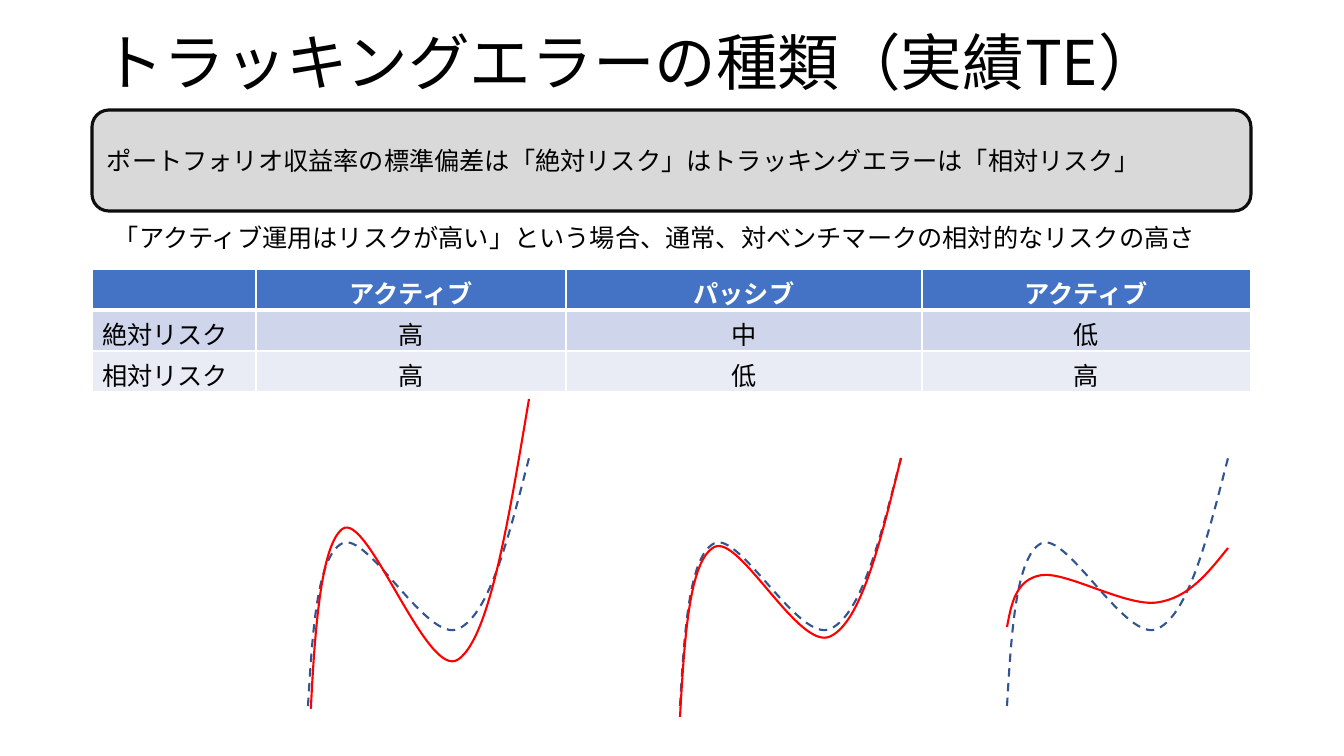
from lxml import etree
from pptx import Presentation
from pptx import util as u
from pptx.dml.color import RGBColor
from pptx.enum import dml, shapes, text
from pptx.oxml.ns import qn

FONT = "Noto Sans CJK JP"
BLACK, WHITE, RED, NAVY = "000000", "FFFFFF", "FF0000", "325491"
SCALE = 914400 / 100.8

TITLE = "トラッキングエラーの種類（実績TE）"
DEFINITION = "ポートフォリオ収益率の標準偏差は「絶対リスク」はトラッキングエラーは「相対リスク」"
REMARK = "「アクティブ運用はリスクが高い」という場合、通常、対ベンチマークの相対的なリスクの高さ"
RISKS = [
    ("", "アクティブ", "パッシブ", "アクティブ"),
    ("絶対リスク", "高", "中", "低"),
    ("相対リスク", "高", "低", "高"),
]
ROW_FILLS = ["4472C4", "CFD5EA", "E9EBF5"]
COLUMN_WIDTHS = [164, 310, 356, 329]
ROW_HEIGHT = 41
LEFT, WIDTH = 92, 1159

WAVE_WIDTH = 221
WAVE_UNITS = 1000
WAVE = [(0, 1000), (20, 699), (41, 396), (155, 344), (269, 293),
        (539, 747), (680, 689), (822, 632), (909, 316), (1000, 0)]
BENCHMARK = (458, 248)
PORTFOLIOS = [(308, 399, 378), (680, 458, 259), (1007, 548, 79)]
WAVE_END_COVER = (258, 709, 101, 75)


def px(value):
    return u.Emu(round(value * SCALE))


def box(*lengths):
    return [px(length) for length in lengths]


def color(value):
    return RGBColor.from_string(value)


def write(frame, wording, size, ink=BLACK, bold=False, align=text.PP_ALIGN.LEFT):
    frame.text = wording
    paragraph = frame.paragraphs[0]
    paragraph.alignment = align
    for run in paragraph.runs:
        run.font.size = u.Pt(size)
        run.font.bold = bold
        run.font.color.rgb = color(ink)
        run.font.name = FONT
        etree.SubElement(run.font._element, qn("a:ea"), typeface=FONT)
    return paragraph


def add_panel(preset, area, fill):
    panel = slide.shapes.add_shape(preset, *box(*area))
    panel.shadow.inherit = False
    panel.fill.solid()
    panel.fill.fore_color.rgb = color(fill)
    panel.line.fill.background()
    return panel


def draw_wave(left, top, height, ink, dash=None):
    points = [box(left + x * WAVE_WIDTH / WAVE_UNITS, top + y * height / WAVE_UNITS)
              for x, y in WAVE]
    builder = slide.shapes.build_freeform(*points[0], scale=1.0)
    builder.add_line_segments(points[1:], close=False)
    wave = builder.convert_to_shape()
    segments = list(wave._element.iter(qn("a:lnTo")))
    for first in range(0, len(segments), 3):
        curve = etree.SubElement(segments[first].getparent(), qn("a:cubicBezTo"))
        for segment in segments[first:first + 3]:
            curve.append(segment[0])
            segment.getparent().remove(segment)
    wave.shadow.inherit = False
    wave.fill.background()
    wave.line.color.rgb = color(ink)
    wave.line.width = u.Pt(1.5)
    wave.line.dash_style = dash


def add_border(cell, edge, points):
    border = etree.SubElement(cell._tc.get_or_add_tcPr(), qn("a:ln" + edge),
                              w=str(u.Pt(points)))
    ink = etree.SubElement(border, qn("a:solidFill"))
    etree.SubElement(ink, qn("a:srgbClr"), val=WHITE)


deck = Presentation()
deck.slide_width, deck.slide_height = px(1344), px(756)
slide = deck.slides.add_slide(deck.slide_layouts[5])

title = slide.shapes.title
title.left, title.top, title.width, title.height = box(LEFT, 21, WIDTH, 89)
title.text_frame.auto_size = text.MSO_AUTO_SIZE.NONE
title.text_frame.vertical_anchor = text.MSO_ANCHOR.MIDDLE
write(title.text_frame, TITLE, 44).line_spacing = 0.9

definition = add_panel(shapes.MSO_SHAPE.ROUNDED_RECTANGLE, (LEFT, 110, WIDTH, 101), "D9D9D9")
definition.line.color.rgb = color("0D0D0D")
definition.line.width = u.Pt(2.25)
definition.text_frame.vertical_anchor = text.MSO_ANCHOR.MIDDLE
write(definition.text_frame, DEFINITION, 18)

remark = slide.shapes.add_textbox(*box(104, 217, 1140, 40))
remark.text_frame.word_wrap = False
remark.text_frame.auto_size = text.MSO_AUTO_SIZE.SHAPE_TO_FIT_TEXT
write(remark.text_frame, REMARK, 18)

for left, top, height in PORTFOLIOS:
    draw_wave(left, *BENCHMARK, NAVY, dml.MSO_LINE.DASH)
for portfolio in PORTFOLIOS:
    draw_wave(*portfolio, RED)

risks = slide.shapes.add_table(
    len(RISKS), len(COLUMN_WIDTHS), *box(LEFT, 269, WIDTH, ROW_HEIGHT * len(RISKS))).table
for column, width in zip(risks.columns, COLUMN_WIDTHS):
    column.width = px(width)
for r, (wordings, fill) in enumerate(zip(RISKS, ROW_FILLS)):
    risks.rows[r].height = px(ROW_HEIGHT)
    for c, wording in enumerate(wordings):
        cell = risks.cell(r, c)
        for edge in "LRB" if r == 1 else "LRTB":
            add_border(cell, edge, 3 if (r, edge) == (0, "B") else 1)
        cell.fill.solid()
        cell.fill.fore_color.rgb = color(fill)
        write(cell.text_frame, wording, 18, BLACK if r else WHITE, r == 0,
              text.PP_ALIGN.CENTER if c else text.PP_ALIGN.LEFT)

add_panel(shapes.MSO_SHAPE.RECTANGLE, WAVE_END_COVER, WHITE)

deck.save("out.pptx")
